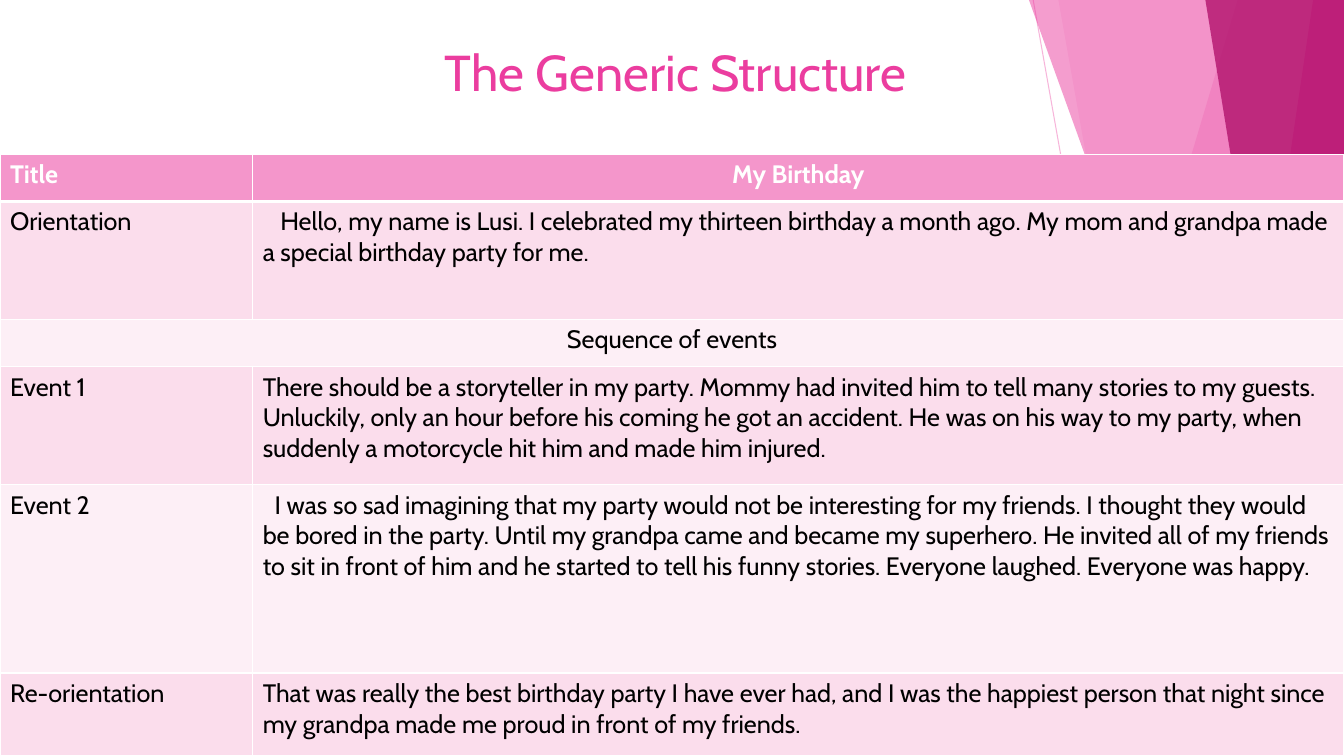
from lxml import etree
from pptx import Presentation
from pptx.dml.color import RGBColor
from pptx.enum.shapes import MSO_CONNECTOR
from pptx.enum.text import MSO_ANCHOR, PP_ALIGN
from pptx.oxml.ns import qn
from pptx.util import Pt

STRAIGHT = MSO_CONNECTOR.STRAIGHT
TOP = MSO_ANCHOR.TOP
LEFT, CENTER = PP_ALIGN.LEFT, PP_ALIGN.CENTER

WIDTH, HEIGHT = 960, 540
FONT = "Cabin"
WHITE, BLACK = "FFFFFF", "000000"
LIGHT_PINK, PINK, MAGENTA = "F496CB", "EB3D9F", "B2136D"
BANDS = ["FBDDEC", "FDEFF6"]

# Facets at the right edge: x at top, x at bottom, colour, opacity in percent
FACETS = [
    (884, 723, LIGHT_PINK, 36),
    (756, 852, LIGHT_PINK, 20),
    (735, 930, PINK, 50),
    (938, 858, PINK, 70),
    (861, 949, MAGENTA, 80),
]

COLUMN_WIDTHS = [180.5, 779.5]
TABLE_TOP = 110.25

# Story parts: label, text, row height, first-line indent
STORY = [
    ("Title", "My Birthday", 33.75, 0),
    ("Orientation",
     "Hello, my name is Lusi. I celebrated my thirteen birthday a month ago. "
     "My mom and grandpa made a special birthday party for me.", 84.25, 12.5),
    ("Sequence of events", None, 33.75, 0),
    ("Event 1",
     "There should be a storyteller in my party. Mommy had invited him to tell "
     "many stories to my guests. Unluckily, only an hour before his coming he "
     "got an accident. He was on his way to my party, when suddenly a "
     "motorcycle hit him and made him injured.", 84.25, 0),
    ("Event 2",
     "I was so sad imagining that my party would not be interesting for my "
     "friends. I thought they would be bored in the party. Until my grandpa "
     "came and became my superhero. He invited all of my friends to sit in "
     "front of him and he started to tell his funny stories. Everyone laughed. "
     "Everyone was happy.", 134.5, 8.5),
    ("Re-orientation",
     "That was really the best birthday party I have ever had, and I was the "
     "happiest person that night since my grandpa made me proud in front of my "
     "friends.", 59, 0),
]


def rgb(hex_colour):
    return RGBColor.from_string(hex_colour)


def set_opacity(fill_format_parent, percent):
    for colour in fill_format_parent.iter(qn("a:srgbClr")):
        etree.SubElement(colour, qn("a:alpha")).set("val", str(percent * 1000))


def write(frame, text, size, colour, align=LEFT, bold=False, indent=0):
    paragraph = frame.paragraphs[0]
    paragraph.alignment = align
    if indent:
        paragraph._p.get_or_add_pPr().set("indent", str(Pt(indent)))
    run = paragraph.add_run()
    run.text = text
    run.font.name = FONT
    run.font.size = Pt(size)
    run.font.bold = bold
    run.font.color.rgb = rgb(colour)


def add_facet(slide, top_x, bottom_x, colour, opacity):
    builder = slide.shapes.build_freeform(Pt(top_x), 0)
    builder.add_line_segments(
        [(Pt(WIDTH), 0), (Pt(WIDTH), Pt(HEIGHT)), (Pt(bottom_x), Pt(HEIGHT))])
    facet = builder.convert_to_shape()
    facet.shadow.inherit = False
    facet.fill.solid()
    facet.fill.fore_color.rgb = rgb(colour)
    facet.line.fill.background()
    set_opacity(facet.element.spPr, opacity)


def add_ray(slide, start, end, colour, opacity):
    ray = slide.shapes.add_connector(STRAIGHT, *map(Pt, start + end))
    ray.line.color.rgb = rgb(colour)
    ray.line.width = Pt(0.75)
    properties = ray._element.spPr
    set_opacity(properties, opacity)
    etree.SubElement(properties, qn("a:effectLst"))


def add_title(slide, text):
    title = slide.shapes.title
    title.left, title.top, title.width, title.height = map(Pt, (68.5, 26, 828, 85))
    title.text_frame.vertical_anchor = TOP
    title.text_frame.word_wrap = True
    write(title.text_frame, text, 36, PINK, CENTER)
    # Bring the title in front of the facets
    title.element.getparent().append(title.element)


def set_borders(cell, top, bottom):
    properties = cell._tc.get_or_add_tcPr()
    widths = {"a:lnL": 1, "a:lnR": 1, "a:lnT": top, "a:lnB": bottom}
    for position, (tag, width) in enumerate(widths.items()):
        border = etree.Element(qn(tag), w=str(Pt(width)))
        fill = etree.SubElement(border, qn("a:solidFill"))
        etree.SubElement(fill, qn("a:srgbClr"), val=WHITE)
        properties.insert(position, border)


def add_story_table(slide):
    heights = [height for _, _, height, _ in STORY]
    table = slide.shapes.add_table(
        len(STORY), len(COLUMN_WIDTHS), 0, Pt(TABLE_TOP),
        Pt(WIDTH), Pt(sum(heights))).table
    for column, width in zip(table.columns, COLUMN_WIDTHS):
        column.width = Pt(width)

    for index, (label, text, height, indent) in enumerate(STORY):
        table.rows[index].height = Pt(height)
        header = index == 0
        colour = WHITE if header else BLACK
        label_cell, text_cell = table.rows[index].cells
        for cell in (label_cell, text_cell):
            cell.fill.solid()
            cell.fill.fore_color.rgb = rgb(
                LIGHT_PINK if header else BANDS[(index - 1) % 2])
            set_borders(cell, top=3 if index == 1 else 1, bottom=3 if header else 1)

        # A part without text is a heading across both columns
        if text is None:
            label_cell.merge(text_cell)
            write(label_cell.text_frame, label, 18, colour, CENTER)
        else:
            write(label_cell.text_frame, label, 18, colour, bold=header)
            write(text_cell.text_frame, text, 18, colour,
                  CENTER if header else LEFT, header, indent)


def main():
    presentation = Presentation()
    presentation.slide_width, presentation.slide_height = Pt(WIDTH), Pt(HEIGHT)
    slide = presentation.slides.add_slide(presentation.slide_layouts[5])

    # Background decoration
    add_ray(slide, (738, 0), (834, HEIGHT), LIGHT_PINK, 70)
    for facet in FACETS:
        add_facet(slide, *facet)

    # Content
    add_title(slide, "The Generic Structure")
    add_story_table(slide)
    presentation.save("out.pptx")


main()
